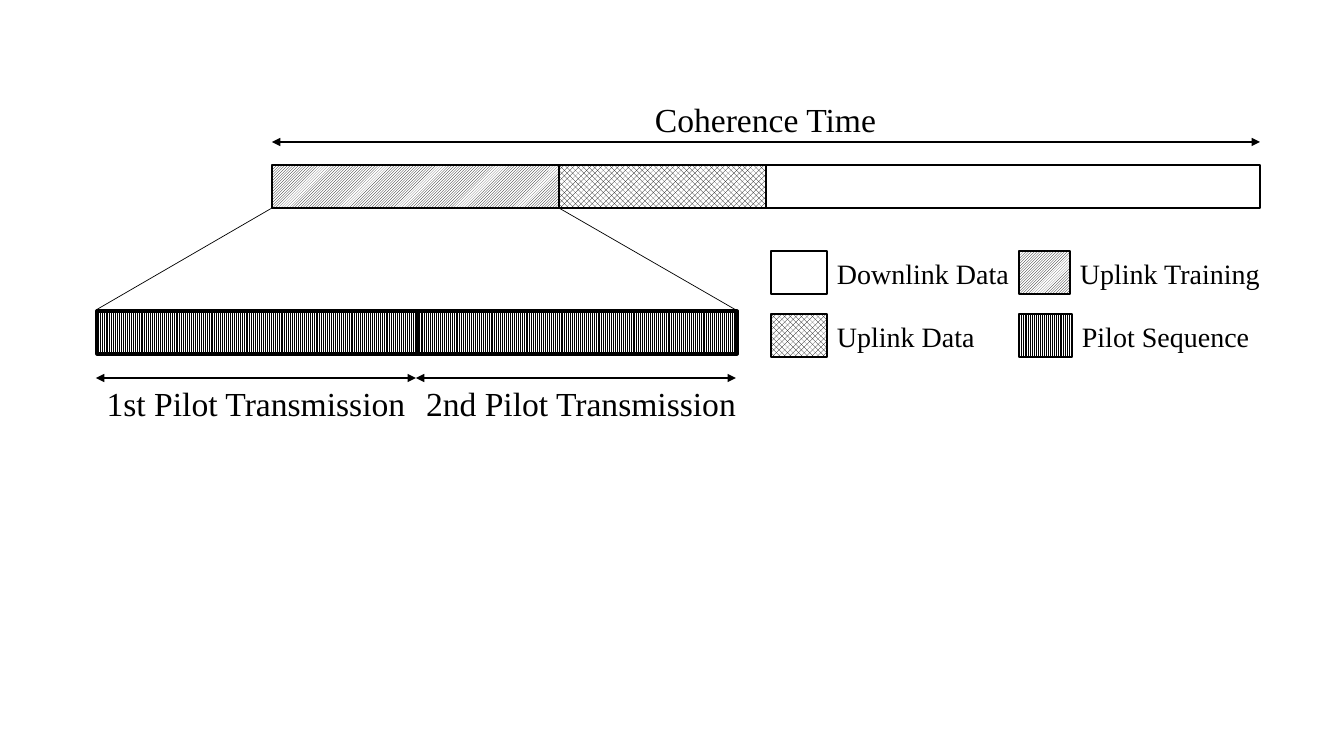
from dataclasses import dataclass
from typing import NamedTuple, Optional

from lxml.etree import SubElement
from pptx import Presentation
from pptx.dml.color import RGBColor
from pptx.enum.dml import MSO_PATTERN as Pattern
from pptx.enum.shapes import MSO_CONNECTOR as Connector, MSO_SHAPE as Shape
from pptx.enum.text import MSO_AUTO_SIZE as AutoSize, PP_ALIGN as Align
from pptx.oxml.ns import qn
from pptx.util import Emu, Pt

EMU_PER_PIXEL = 914400 / 100.8


@dataclass(frozen=True)
class Theme:
    ink: RGBColor = RGBColor(0, 0, 0)
    paper: RGBColor = RGBColor(255, 255, 255)
    font: str = "Times New Roman"
    label_size: float = 24
    legend_size: float = 20
    zoom_line: float = 0.5
    block_line: float = 1
    arrow_line: float = 1.5
    pilot_line: float = 2.25


class Block(NamedTuple):
    left: int
    top: int
    width: int
    pattern: Optional[Pattern] = None
    line: float = 1


class Label(NamedTuple):
    text: str
    left: int
    top: int
    width: int
    height: int
    size: float
    align: Align


class Line(NamedTuple):
    start: tuple[int, int]
    end: tuple[int, int]
    width: float
    arrows: bool = False


class LegendEntry(NamedTuple):
    swatch: Block
    name: str


THEME = Theme()
TRAINING = Pattern.LIGHT_UPWARD_DIAGONAL
UPLINK = Pattern.OUTLINED_DIAMOND
PILOT = Pattern.LIGHT_VERTICAL
BLOCK_HEIGHT = 43
FRAME_TOP, PILOT_TOP = 165, 311
FRAME_LEFT, TRAINING_END, UPLINK_END, FRAME_RIGHT = 272, 559, 766, 1260
PILOT_LEFT, PILOT_WIDTH = 96, 320
PILOT_ARROW_Y = 378
LEGEND_LEFT, LEGEND_RIGHT = 771, 1019
LEGEND_ROWS = (251, 314)


def px(pixels: int) -> Emu:
    return Emu(round(pixels * EMU_PER_PIXEL))


def draw_block(shapes, block: Block) -> None:
    rect = shapes.add_shape(Shape.RECTANGLE, px(block.left), px(block.top),
                            px(block.width), px(BLOCK_HEIGHT))
    rect.shadow.inherit = False
    if block.pattern is None:
        rect.fill.background()
    else:
        rect.fill.patterned()
        rect.fill.pattern = block.pattern
        rect.fill.fore_color.rgb = THEME.ink
        rect.fill.back_color.rgb = THEME.paper
    rect.line.color.rgb = THEME.ink
    rect.line.width = Pt(block.line)


def draw_label(shapes, label: Label) -> None:
    box = shapes.add_textbox(px(label.left), px(label.top), px(label.width), px(label.height))
    frame = box.text_frame
    frame.word_wrap = True
    frame.auto_size = AutoSize.SHAPE_TO_FIT_TEXT
    frame.text = label.text
    paragraph = frame.paragraphs[0]
    paragraph.alignment = label.align
    font = paragraph.runs[0].font
    font.name = THEME.font
    font.size = Pt(label.size)
    font.color.rgb = THEME.ink


def draw_line(shapes, line: Line) -> None:
    connector = shapes.add_connector(Connector.STRAIGHT, *map(px, line.start + line.end))
    connector.line.color.rgb = THEME.ink
    connector.line.width = Pt(line.width)
    properties = connector.element.spPr
    if line.arrows:
        outline = properties.find(qn("a:ln"))
        for end in ("a:headEnd", "a:tailEnd"):
            SubElement(outline, qn(end), type="triangle")
    SubElement(properties, qn("a:effectLst"))


def draw_legend_entry(shapes, entry: LegendEntry) -> None:
    members = shapes.add_group_shape().shapes
    swatch = entry.swatch
    draw_block(members, swatch)
    draw_label(members, Label(entry.name, swatch.left + swatch.width, swatch.top + 1,
                              232, 44, THEME.legend_size, Align.LEFT))


def span_arrow(left: int, right: int, y: int) -> Line:
    return Line((left, y), (right, y), THEME.arrow_line, True)


def centred_label(text: str, left: int, top: int, width: int) -> Label:
    return Label(text, left, top, width, 50, THEME.label_size, Align.CENTER)


pilot_starts = [PILOT_LEFT + PILOT_WIDTH * index for index in range(2)]
pilot_end = PILOT_LEFT + 2 * PILOT_WIDTH
frame_bottom = FRAME_TOP + BLOCK_HEIGHT

blocks = [
    Block(FRAME_LEFT, FRAME_TOP, TRAINING_END - FRAME_LEFT, TRAINING),
    Block(TRAINING_END, FRAME_TOP, UPLINK_END - TRAINING_END, UPLINK),
    Block(UPLINK_END, FRAME_TOP, FRAME_RIGHT - UPLINK_END),
    Block(PILOT_LEFT + 2, PILOT_TOP, 2 * PILOT_WIDTH, PILOT),
    *(Block(start + 1, PILOT_TOP, PILOT_WIDTH, None, THEME.pilot_line) for start in pilot_starts),
]
lines = [
    Line((TRAINING_END, frame_bottom), (pilot_end, PILOT_TOP - 1), THEME.zoom_line),
    Line((FRAME_LEFT, frame_bottom), (PILOT_LEFT, PILOT_TOP - 1), THEME.zoom_line),
    span_arrow(FRAME_LEFT, FRAME_RIGHT, 142),
    *(span_arrow(start, start + PILOT_WIDTH, PILOT_ARROW_Y) for start in pilot_starts),
]
labels = [
    centred_label("Coherence Time", FRAME_LEFT, 94, FRAME_RIGHT - FRAME_LEFT - 1),
    centred_label("1st Pilot Transmission", pilot_starts[0], PILOT_ARROW_Y, PILOT_WIDTH),
    centred_label("2nd Pilot Transmission", pilot_starts[1], PILOT_ARROW_Y, PILOT_WIDTH + 10),
]
legend = [
    LegendEntry(Block(LEGEND_LEFT, LEGEND_ROWS[0], 56), "Downlink Data"),
    LegendEntry(Block(LEGEND_RIGHT, LEGEND_ROWS[0], 51, TRAINING), "Uplink Training"),
    LegendEntry(Block(LEGEND_LEFT, LEGEND_ROWS[1], 56, UPLINK), "Uplink Data"),
    LegendEntry(Block(LEGEND_RIGHT, LEGEND_ROWS[1], 53, PILOT), "Pilot Sequence"),
]

deck = Presentation()
deck.slide_width, deck.slide_height = px(1344), px(756)
canvas = deck.slides.add_slide(deck.slide_layouts[6]).shapes
for draw, items in ((draw_block, blocks), (draw_line, lines),
                    (draw_label, labels), (draw_legend_entry, legend)):
    for item in items:
        draw(canvas, item)
deck.save("out.pptx")
